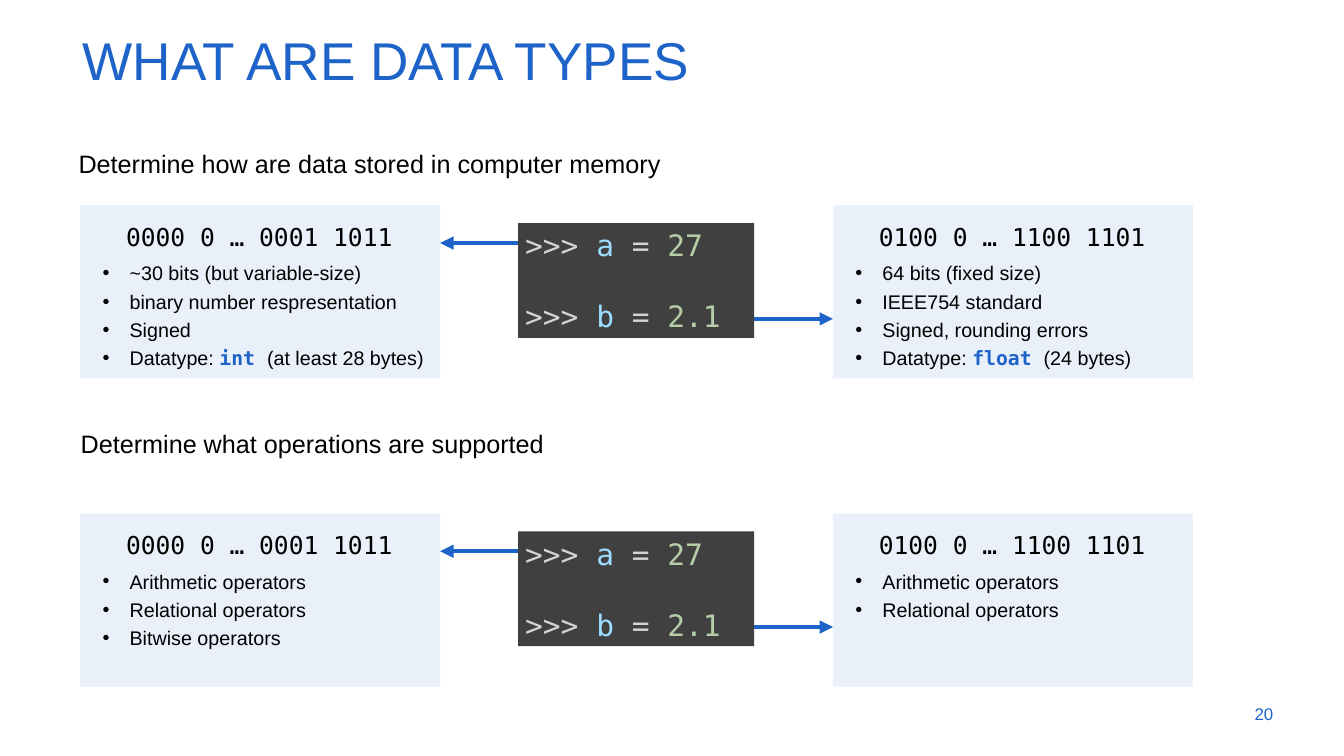
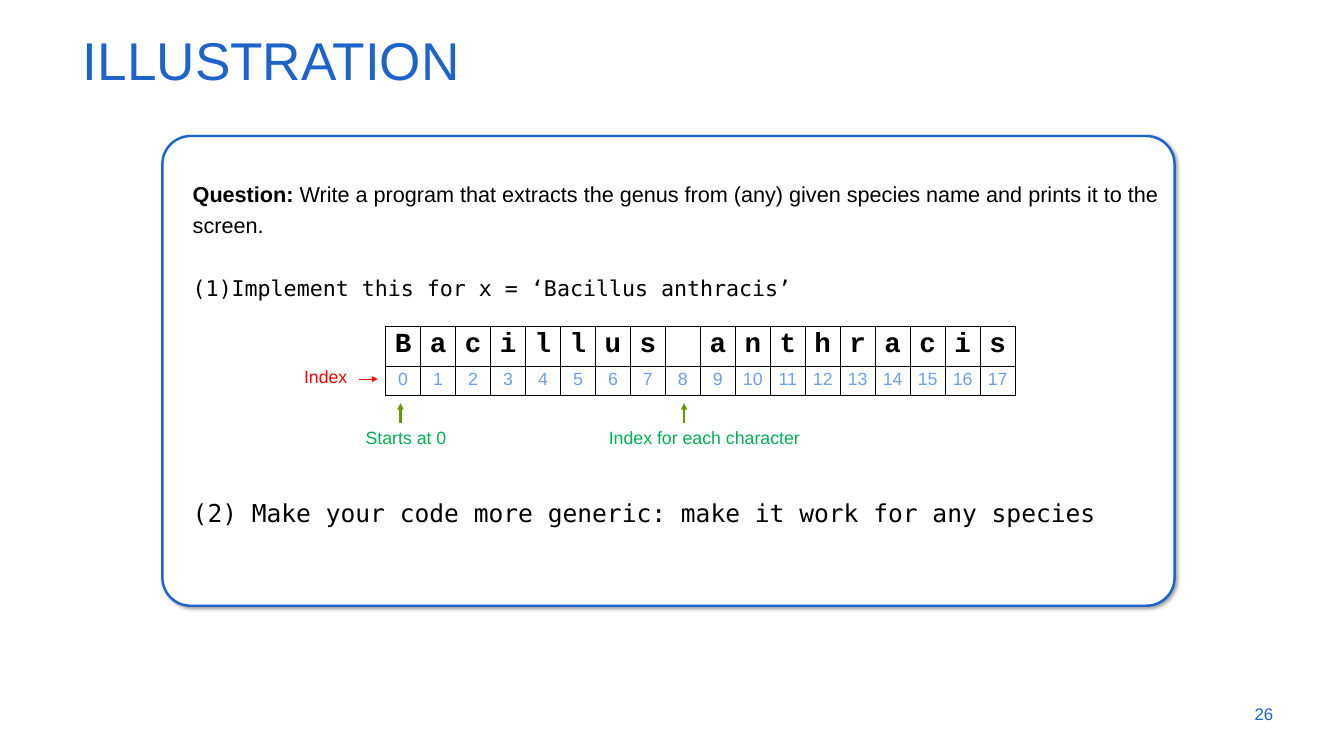
from lxml import etree
from pptx import Presentation
from pptx.dml.color import RGBColor
from pptx.enum.shapes import MSO_CONNECTOR, MSO_SHAPE
from pptx.enum.text import MSO_ANCHOR, PP_ALIGN
from pptx.oxml.ns import qn
from pptx.util import Inches, Pt

RECT, ROUND = MSO_SHAPE.RECTANGLE, MSO_SHAPE.ROUNDED_RECTANGLE
STRAIGHT = MSO_CONNECTOR.STRAIGHT
LEFT, CENTER, RIGHT = PP_ALIGN.LEFT, PP_ALIGN.CENTER, PP_ALIGN.RIGHT
TOP, MIDDLE = MSO_ANCHOR.TOP, MSO_ANCHOR.MIDDLE


class Theme:
    blue, panel, code = "1E64C8", "E9F0FA", "404040"
    black, white = "000000", "FFFFFF"
    red, label, arrow = "FF0000", "00B050", "669900"
    # Text styles: size, font, colour, bold
    title = (54, "Arial", blue, False)
    number = (17.1, "Arial", blue, False)
    heading = (25.6, "Arial", black, False)
    bits = (25, "DejaVu Sans Mono", black, False)
    bullet = (20, "Arial", black, False)
    datatype = (20, "DejaVu Sans Mono", blue, True)
    prompt = (30, "DejaVu Sans Mono", "D4D4D4", False)
    variable = (30, "DejaVu Sans Mono", "9CDCFE", False)
    value = (30, "DejaVu Sans Mono", "B5CEA8", False)
    body = (22, "Arial", black, False)
    strong = (22, "Arial", black, True)
    task = (22, "DejaVu Sans Mono", black, False)
    last_task = (25, "DejaVu Sans Mono", black, False)
    letter = (28, "Courier New", black, True)
    index = (18, "Arial", "6DA0E9", False)
    index_note = (18, "Arial", red, False)
    green_note = (18, "Arial", label, False)


# Content: a paragraph is a list of (text, style) runs
CODE = [
    [(">>> ", Theme.prompt), (name, Theme.variable), (" = ", Theme.prompt), (value, Theme.value)]
    for name, value in (("a", "27"), ("b", "2.1"))
]
INT_BITS, FLOAT_BITS = "0000 0 … 0001 1011", "0100 0 … 1100 1101"


def bullets(*texts):
    return [[(text, Theme.bullet)] for text in texts]


def datatype(name, size):
    return [("Datatype: ", Theme.bullet), (name + " ", Theme.datatype), (size, Theme.bullet)]


# Heading, heading left and top, panel top, bullets for int and float
TYPE_ROWS = [
    ("Determine how are data stored in computer memory", 1.01, 1.96, 2.9,
     bullets("~30 bits (but variable-size)", "binary number respresentation", "Signed")
     + [datatype("int", "(at least 28 bytes)")],
     bullets("64 bits (fixed size)", "IEEE754 standard", "Signed, rounding errors")
     + [datatype("float", "(24 bytes)")]),
    ("Determine what operations are supported", 1.04, 5.91, 7.25,
     bullets("Arithmetic operators", "Relational operators", "Bitwise operators"),
     bullets("Arithmetic operators", "Relational operators")),
]
QUESTION = [
    [("Question: ", Theme.strong),
     ("Write a program that extracts the genus from (any) given species name "
      "and prints it to the screen.", Theme.body)],
    [("Implement this for x = ‘Bacillus anthracis’", Theme.task)],
    [(" Make your code more generic: make it work for any species", Theme.last_task)],
]
SPECIES = "Bacillus anthracis"
# Text, style, left, top, width
INDEX_NOTES = [
    ("Index", Theme.index_note, 4.19, 5.11, 1.01),
    ("Starts at 0", Theme.green_note, 5.06, 5.97, 1.35),
    ("Index for each character", Theme.green_note, 8.49, 5.97, 3.68),
]


# Helpers
def rgb(value):
    return RGBColor.from_string(value)


def add_runs(p, runs):
    for text, (size, font, color, bold) in runs:
        r = p.add_run()
        r.text = text
        r.font.size, r.font.name, r.font.bold = Pt(size), font, bold
        r.font.color.rgb = rgb(color)


def fill_text(tf, paragraphs, spacing=1.0, align=LEFT, anchor=TOP):
    tf.word_wrap = True
    tf.vertical_anchor = anchor
    for i, runs in enumerate(paragraphs):
        p = tf.add_paragraph() if i else tf.paragraphs[0]
        p.alignment, p.line_spacing = align, spacing
        add_runs(p, runs)
    return tf


def add_text(slide, at, paragraphs, **options):
    box = slide.shapes.add_textbox(*map(Inches, at))
    return fill_text(box.text_frame, paragraphs, **options)


def add_box(slide, kind, at, fill, line=None):
    sp = slide.shapes.add_shape(kind, *map(Inches, at))
    sp.shadow.inherit = False
    sp.fill.solid()
    sp.fill.fore_color.rgb = rgb(fill)
    if line:
        sp.line.color.rgb, sp.line.width = rgb(line), Pt(2.5)
    else:
        sp.line.fill.background()
    return sp


def add_arrow(slide, start, end, color, width):
    line = slide.shapes.add_connector(STRAIGHT, *map(Inches, (*start, *end)))
    line.line.color.rgb, line.line.width = rgb(color), Pt(width)
    etree.SubElement(line.line._get_or_add_ln(), qn("a:tailEnd"), type="triangle")
    etree.SubElement(line._element.spPr, qn("a:effectLst"))


def add_marker(p, indent, tag, font, **attributes):
    pPr = p._p.get_or_add_pPr()
    pPr.set("marL", str(Inches(indent)))
    pPr.set("indent", str(-Inches(indent)))
    etree.SubElement(pPr, qn("a:buFont"), typeface=font)
    etree.SubElement(pPr, qn(tag), **attributes)


def add_soft_shadow(sp):
    effects = sp._element.spPr.find(qn("a:effectLst"))
    shadow = etree.SubElement(effects, qn("a:outerShdw"), blurRad=str(Pt(4)), dist=str(Pt(3)),
                              dir=str(45 * 60000), algn="tl", rotWithShape="0")
    color = etree.SubElement(shadow, qn("a:srgbClr"), val=Theme.black)
    etree.SubElement(color, qn("a:alpha"), val="40000")


def add_borders(cell):
    tcPr = cell._tc.get_or_add_tcPr()
    for i, side in enumerate(("a:lnL", "a:lnR", "a:lnT", "a:lnB")):
        ln = etree.Element(qn(side), w=str(Pt(1)))
        fill = etree.SubElement(ln, qn("a:solidFill"))
        etree.SubElement(fill, qn("a:srgbClr"), val=Theme.black)
        tcPr.insert(i, ln)


def new_slide(prs, title, number):
    slide = prs.slides.add_slide(prs.slide_layouts[6])
    add_text(slide, (1.07, 0.44, 17.18, 0.94), [[(title, Theme.title)]], spacing=0.9)
    add_text(slide, (17.05, 9.79, 1.01, 0.57), [[(number, Theme.number)]],
             align=RIGHT, anchor=MIDDLE)
    return slide


# Data types slide
def add_type_panel(slide, left, top, bits, items):
    add_box(slide, RECT, (left, top, 5.08, 2.44), Theme.panel)
    add_text(slide, (left + 0.55, top + 0.1, 4.06, 0.57), [[(bits, Theme.bits)]], spacing=1.2)
    tf = add_text(slide, (left + 0.22, top + 0.67, 4.86, 0.1 + 0.4 * len(items)), items,
                  spacing=1.2)
    tf.margin_right = 0
    for p in tf.paragraphs:
        add_marker(p, 0.38, "a:buChar", "Arial", char="•")


def build_types(prs):
    slide = new_slide(prs, "WHAT ARE DATA TYPES", "20")
    int_left, float_left, code_left, code_width = 1.13, 11.75, 7.31, 3.33
    for heading, left, heading_top, top, int_items, float_items in TYPE_ROWS:
        add_text(slide, (left, heading_top, 13.65, 0.57), [[(heading, Theme.heading)]],
                 spacing=1.2)
        add_type_panel(slide, int_left, top, INT_BITS, int_items)
        add_type_panel(slide, float_left, top, FLOAT_BITS, float_items)
        code = add_box(slide, RECT, (code_left, top + 0.25, code_width, 1.62), Theme.code)
        tf = fill_text(code.text_frame, CODE, anchor=MIDDLE)
        tf.paragraphs[1].space_before = Pt(36)
        for start, end, y in ((code_left, int_left + 5.08, top + 0.53),
                              (code_left + code_width, float_left, top + 1.6)):
            add_arrow(slide, (start, y), (end, y), Theme.blue, 4.5)


# Illustration slide
def add_index_table(slide):
    count = len(SPECIES)
    table = slide.shapes.add_table(2, count, *map(Inches, (5.44, 4.6, 8.88, 0.97))).table
    table.rows[0].height, table.rows[1].height = Inches(0.56), Inches(0.41)
    for i, letter in enumerate(SPECIES):
        table.columns[i].width = Inches(8.88 / count)
        for row, run in enumerate(((letter, Theme.letter), (str(i), Theme.index))):
            cell = table.cell(row, i)
            cell.fill.background()
            cell.margin_left = cell.margin_right = Inches(0.02)
            p = cell.text_frame.paragraphs[0]
            p.alignment = CENTER
            add_runs(p, [run])
            add_borders(cell)


def build_illustration(prs):
    slide = new_slide(prs, "ILLUSTRATION", "26")
    frame = add_box(slide, ROUND, (2.29, 1.92, 14.28, 6.63), Theme.white, Theme.blue)
    frame.adjustments[0] = 0.06
    add_soft_shadow(frame)
    tf = add_text(slide, (2.62, 2.43, 14.05, 5.07), QUESTION, spacing=1.2)
    for p, gap in zip(tf.paragraphs[1:], (32, 195)):
        p.space_before = Pt(gap)
        add_marker(p, 0.5, "a:buAutoNum", "DejaVu Sans Mono", type="arabicParenBoth")
    add_index_table(slide)
    for text, style, left, top, width in INDEX_NOTES:
        add_text(slide, (left, top, width, 0.4), [[(text, style)]])
    add_arrow(slide, (5.06, 5.35), (5.33, 5.35), Theme.red, 0.5)
    for x in (5.65, 9.65):
        add_arrow(slide, (x, 5.97), (x, 5.69), Theme.arrow, 2.25)


def main():
    prs = Presentation()
    prs.slide_width, prs.slide_height = Inches(18.96), Inches(10.67)
    build_types(prs)
    build_illustration(prs)
    prs.save("out.pptx")


if __name__ == "__main__":
    main()
